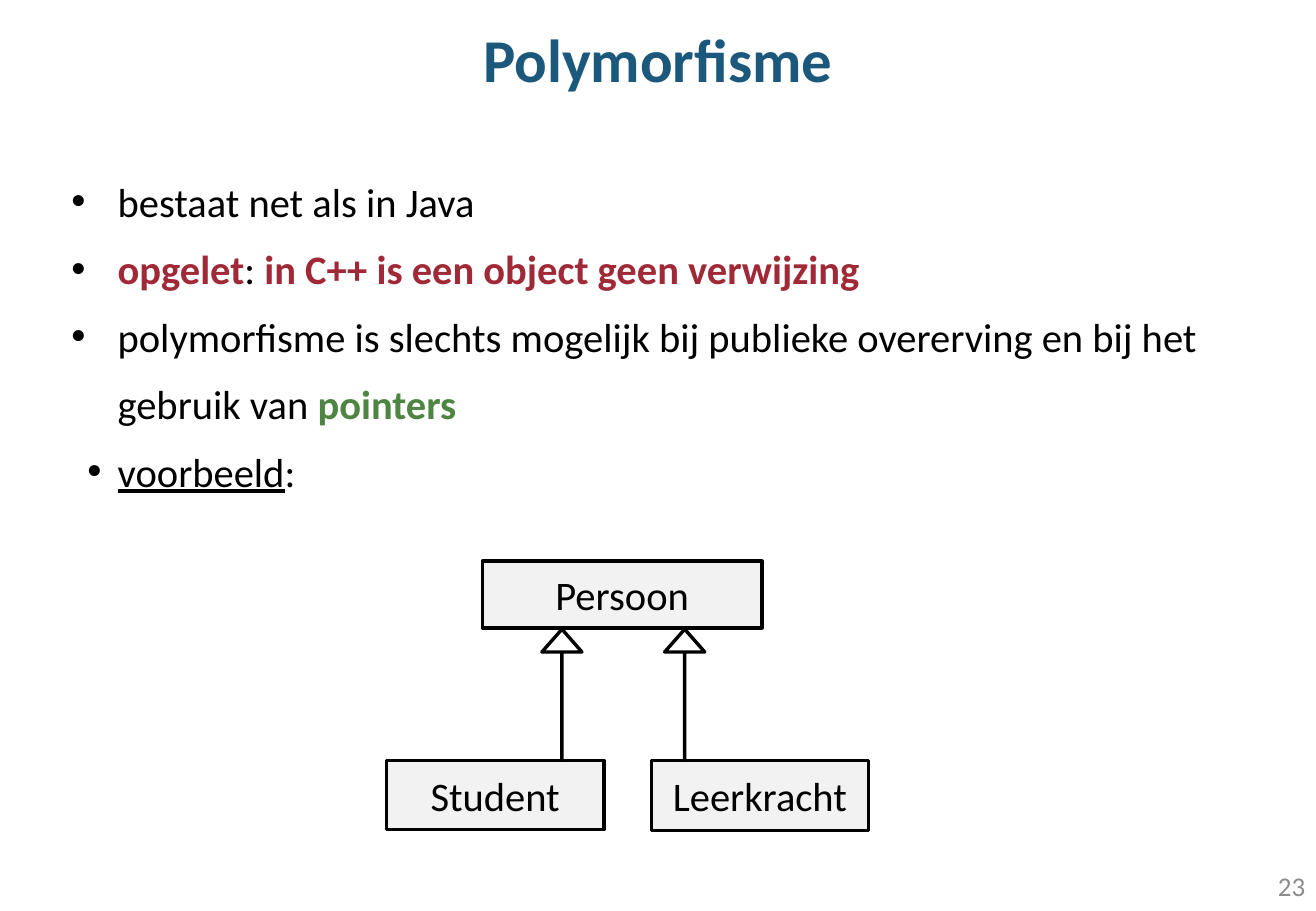
"""Build the slide on polymorphism with its class diagram."""
from lxml import etree
from pptx import Presentation
from pptx.dml.color import RGBColor
from pptx.enum.shapes import MSO_SHAPE
from pptx.enum.text import MSO_ANCHOR, PP_ALIGN
from pptx.oxml.ns import qn
from pptx.util import Emu, Pt

RECTANGLE, UP_ARROW = MSO_SHAPE.RECTANGLE, MSO_SHAPE.UP_ARROW
LEFT, CENTER, RIGHT = PP_ALIGN.LEFT, PP_ALIGN.CENTER, PP_ALIGN.RIGHT
TOP, MIDDLE = MSO_ANCHOR.TOP, MSO_ANCHOR.MIDDLE

EMU_PER_PX = 9144
FONT = "Calibri"
COLORS = {
    "title": "1B587C",
    "text": "000000",
    "warning": "9F2936",
    "keyword": "4E8542",
    "class_fill": "F2F2F2",
    "number": "8C8C8C",
}
BULLET_INDENT = 38
POINTS = [
    (38, [("bestaat net als in Java", {})]),
    (38, [
        ("opgelet", {"color": "warning", "bold": True}),
        (": ", {}),
        ("in C++ is een object geen verwijzing", {"color": "warning", "bold": True}),
    ]),
    (38, [
        ("polymorfisme is slechts mogelijk bij publieke overerving en bij het gebruik van ", {}),
        ("pointers", {"color": "keyword", "bold": True}),
    ]),
    (25, [("voorbeeld", {"underline": True}), (":", {})]),
]
CLASSES = [
    ("Persoon", (397, 462, 230, 55)),
    ("Student", (318, 626, 179, 57)),
    ("Leerkracht", (536, 626, 179, 58)),
]
ARROW_LEFTS = (446, 547)


def px(length):
    """Turn a length in px into EMU."""
    return Emu(length * EMU_PER_PX)


def rgb(name):
    """Return the named colour."""
    return RGBColor.from_string(COLORS[name])


def add_run(paragraph, text, size=24, color="text", bold=False, underline=False):
    """Add a formatted run of text to a paragraph."""
    run = paragraph.add_run()
    run.text = text
    font = run.font
    font.name, font.size = FONT, Pt(size)
    font.bold, font.underline = bold, underline
    font.color.rgb = rgb(color)


def write_line(shape, text, align=CENTER, wrap=True, **font_format):
    """Write one vertically centred line of text in a shape."""
    frame = shape.text_frame
    frame.word_wrap, frame.vertical_anchor = wrap, MIDDLE
    paragraph = frame.paragraphs[0]
    paragraph.alignment = align
    add_run(paragraph, text, **font_format)


def add_bullet(paragraph, hanging):
    """Give a paragraph a black bullet with a hanging indent."""
    properties = paragraph._p.get_or_add_pPr()
    properties.set("marL", str(px(BULLET_INDENT)))
    properties.set("indent", str(-px(hanging)))
    bullet_color = etree.SubElement(properties, qn("a:buClr"))
    etree.SubElement(bullet_color, qn("a:srgbClr"), val=COLORS["text"])
    etree.SubElement(properties, qn("a:buFont"), typeface="Arial")
    etree.SubElement(properties, qn("a:buChar"), char="•")


def add_points(slide, box, points):
    """Add the bulleted list."""
    frame = slide.shapes.add_textbox(*map(px, box)).text_frame
    frame.word_wrap, frame.vertical_anchor = True, TOP
    for index, (hanging, runs) in enumerate(points):
        paragraph = frame.add_paragraph() if index else frame.paragraphs[0]
        paragraph.alignment, paragraph.line_spacing = LEFT, Pt(40)
        add_bullet(paragraph, hanging)
        for text, font_format in runs:
            add_run(paragraph, text, **font_format)


def add_outlined(slide, kind, box):
    """Add a preset shape with a black outline and no fill."""
    shape = slide.shapes.add_shape(kind, *map(px, box))
    shape.shadow.inherit = False
    shape.fill.background()
    shape.line.color.rgb, shape.line.width = rgb("text"), Pt(2)
    return shape


def add_class(slide, name, box):
    """Add a class box with its name."""
    class_box = add_outlined(slide, RECTANGLE, box)
    class_box.fill.solid()
    class_box.fill.fore_color.rgb = rgb("class_fill")
    write_line(class_box, name, wrap=False)


def add_inheritance(slide, left):
    """Add an inheritance arrow from a subclass up to its base class."""
    arrow = add_outlined(slide, UP_ARROW, (left, 518, 33, 108))
    arrow.adjustments[0], arrow.adjustments[1] = 0, 0.57


def add_label(slide, box, text, **text_format):
    """Add a one-line text box."""
    write_line(slide.shapes.add_textbox(*map(px, box)), text, **text_format)


def main():
    """Build and save the slide."""
    deck = Presentation()
    deck.slide_width, deck.slide_height = px(1083), px(750)
    slide = deck.slides.add_slide(deck.slide_layouts[6])
    add_points(slide, (49, 125, 950, 558), POINTS)
    for name, box in CLASSES:
        add_class(slide, name, box)
    for left in ARROW_LEFTS:
        add_inheritance(slide, left)
    add_label(slide, (831, 709, 253, 40), "23", align=RIGHT, size=16, color="number")
    add_label(slide, (0, 0, 1083, 95), "Polymorfisme", size=36, color="title", bold=True)
    deck.save("out.pptx")


if __name__ == "__main__":
    main()
